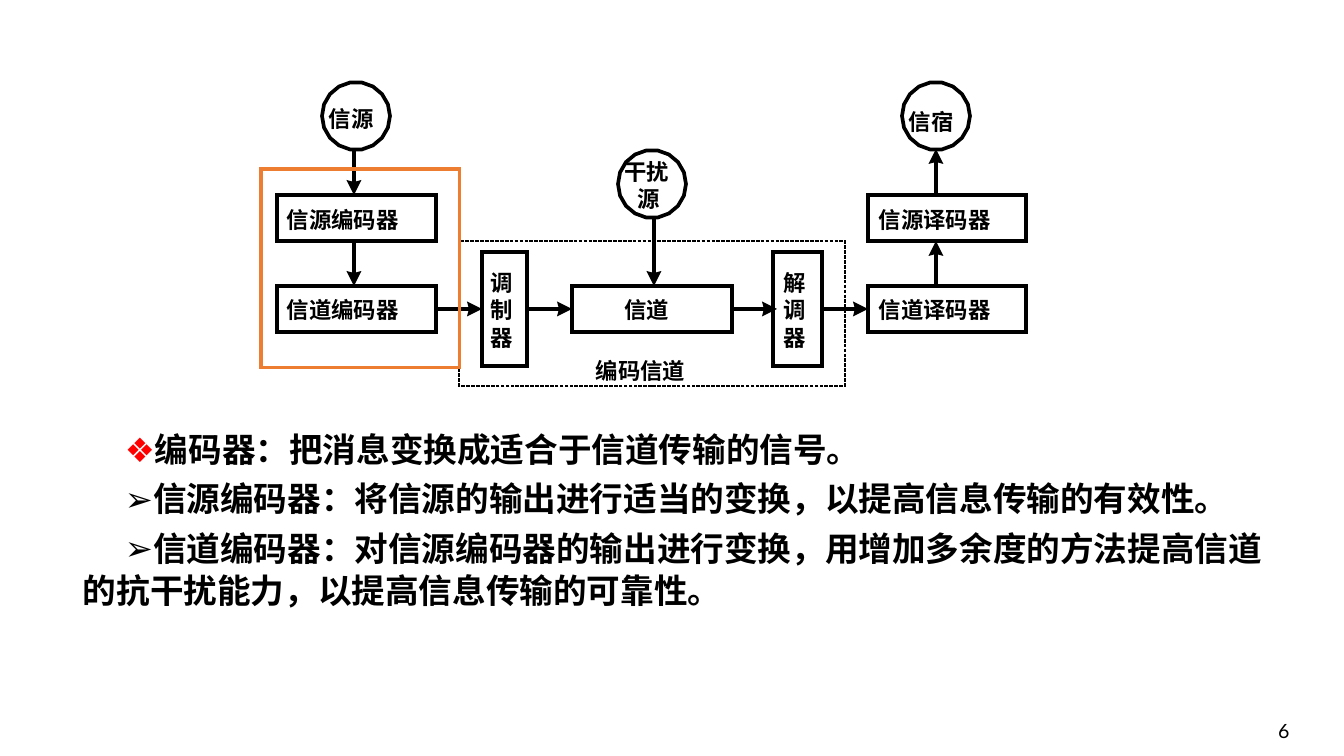
from math import cos, hypot, pi, sin

from lxml.etree import SubElement
from pptx import Presentation
from pptx.dml.color import RGBColor
from pptx.enum.dml import MSO_LINE
from pptx.enum.shapes import MSO_CONNECTOR, MSO_SHAPE
from pptx.enum.text import MSO_ANCHOR
from pptx.oxml.ns import qn
from pptx.util import Pt

# Content: all lengths in px
SLIDE_W, SLIDE_H = 1344, 756
COLORS = {"ink": "000000", "accent": "ED7D31", "bullet": "FF0000"}
CJK, LATIN = "Noto Sans CJK SC", "Lato"
STROKE = 2.63

CODING_CHANNEL = (459, 241, 386, 145)
ENCODER_HIGHLIGHT = (261, 169, 199, 199)

ROW_SOURCE, ROW_CHANNEL = 195, 286
STAGES = [  # left, top, width, height
    (277, ROW_SOURCE, 159, 46),
    (277, ROW_CHANNEL, 159, 46),
    (482, 252, 45, 114),
    (572, ROW_CHANNEL, 160, 46),
    (773, 252, 49, 114),
    (868, ROW_SOURCE, 158, 46),
    (868, ROW_CHANNEL, 158, 46),
]
ENDPOINTS = [(356, 116), (936, 116), (652, 184)]  # circle centres
RADIUS, SIDES = 34, 18

LABELS = [  # text, left, top
    ("信源", 329, 105),
    ("信源编码器", 287, 206),
    ("信道编码器", 287, 296),
    ("信道", 624, 296),
    ("信宿", 909, 108),
    ("信源译码器", 879, 206),
    ("信道译码器", 879, 296),
    ("干扰", 624, 158),
    ("源", 638, 185),
    ("编码信道", 596, 357),
]
VERTICAL_LABELS = [("调制器", 491, 269), ("解调器", 784, 269)]
CHAR_W, CHAR_PITCH, LABEL_H = 22.4, 27.5, 27

SOURCE_X, FLOW_Y, NOISE_X, SINK_X = 354, 309, 654, 936
ARROWS = [  # from x, y to x, y
    (SOURCE_X, 149, SOURCE_X, 195),
    (SOURCE_X, 241, SOURCE_X, 286),
    (436, FLOW_Y, 482, FLOW_Y),
    (527, FLOW_Y, 572, FLOW_Y),
    (732, FLOW_Y, 777, FLOW_Y),
    (822, FLOW_Y, 868, FLOW_Y),
    (SINK_X, 286, SINK_X, 241),
    (SINK_X, 195, SINK_X, 149),
    (NOISE_X, 218, NOISE_X, 286),
]
HEAD_LENGTH, HEAD_NOTCH, HEAD_HALF = 15, 13, 7.5
SHAFT_GAP = 12  # from the shaft's end to the tip

DEFINITIONS = [  # bullet, bullet colour, text
    ("❖", "bullet", "编码器：把消息变换成适合于信道传输的信号。"),
    ("➢", "ink", "信源编码器：将信源的输出进行适当的变换，以提高信息传输的有效性。"),
    ("➢", "ink", "信道编码器：对信源编码器的输出进行变换，用增加多余度的方法"
                 "提高信道的抗干扰能力，以提高信息传输的可靠性。"),
]
DEFINITIONS_BOX = (52, 422, 1227, 199)
PAGE_NUMBER, PAGE_BOX = "6", (1268, 706, 76, 50)


def px(length):
    return round(length * 914400 / 100.8)


def color(name):
    return RGBColor.from_string(COLORS[name])


def style_outline(shape, line="ink", width=STROKE, dash=None):
    shape.shadow.inherit = False
    shape.fill.background()
    shape.line.color.rgb = color(line)
    shape.line.width = Pt(width)
    if dash:
        shape.line.dash_style = dash
    SubElement(shape.line._get_or_add_ln(), qn("a:miter"), lim="800000")


def add_box(box, **outline):
    rect = slide.shapes.add_shape(MSO_SHAPE.RECTANGLE, *map(px, box))
    style_outline(rect, **outline)


def add_polygon(corners):
    points = [(px(x), px(y)) for x, y in corners]
    builder = slide.shapes.build_freeform(*points[0])
    builder.add_line_segments(points[1:], close=True)
    return builder.convert_to_shape()


def add_circle(center_x, center_y):
    angles = [2 * pi * k / SIDES for k in range(SIDES)]
    style_outline(add_polygon([(center_x + RADIUS * cos(angle),
                                center_y + RADIUS * sin(angle))
                               for angle in angles]))


def add_arrow(start_x, start_y, tip_x, tip_y):
    length = hypot(tip_x - start_x, tip_y - start_y)
    ux, uy = (tip_x - start_x) / length, (tip_y - start_y) / length

    def behind_tip(back, side=0):
        return tip_x - back * ux - side * uy, tip_y - back * uy + side * ux

    shaft = slide.shapes.add_connector(
        MSO_CONNECTOR.STRAIGHT,
        *map(px, (start_x, start_y, *behind_tip(SHAFT_GAP))))
    shaft.line.color.rgb = color("ink")
    shaft.line.width = Pt(STROKE)
    SubElement(shaft._element.spPr, qn("a:effectLst"))
    head = add_polygon([(tip_x, tip_y), behind_tip(HEAD_LENGTH, HEAD_HALF),
                        behind_tip(HEAD_NOTCH),
                        behind_tip(HEAD_LENGTH, -HEAD_HALF)])
    head.shadow.inherit = False
    head.fill.solid()
    head.fill.fore_color.rgb = color("ink")
    head.line.fill.background()


def add_text(paragraphs, box, size=16, font=CJK, bold=True, wrap=False,
             margin=0, anchor=MSO_ANCHOR.TOP):
    frame = slide.shapes.add_textbox(*map(px, box)).text_frame
    frame.word_wrap = wrap
    frame.vertical_anchor = anchor
    frame.margin_left = frame.margin_right = px(margin)
    frame.margin_top = frame.margin_bottom = px(margin / 2)
    frame.text = "\n".join(paragraphs)
    for paragraph in frame.paragraphs:
        for run in paragraph.runs:
            run.font.size, run.font.bold = Pt(size), bold
            run.font.name = font
            run.font.color.rgb = color("ink")
            SubElement(run.font._element, qn("a:ea"), typeface=font)
    return frame.paragraphs


def add_bullet(paragraph, mark, mark_color):
    paragraph.line_spacing = 1.05
    paragraph.space_before = Pt(5)
    props = paragraph._p.get_or_add_pPr()
    props.set("marL", str(px(21)))
    props.set("indent", str(px(42)))
    tint = SubElement(props, qn("a:buClr"))
    SubElement(tint, qn("a:srgbClr"), val=COLORS[mark_color])
    SubElement(props, qn("a:buFont"), typeface=LATIN)
    SubElement(props, qn("a:buChar"), char=mark)


deck = Presentation()
deck.slide_width, deck.slide_height = px(SLIDE_W), px(SLIDE_H)
slide = deck.slides.add_slide(deck.slide_layouts[6])

# Block diagram
add_box(CODING_CHANNEL, width=0.88, dash=MSO_LINE.SQUARE_DOT)
for stage in STAGES:
    add_box(stage)
for endpoint in ENDPOINTS:
    add_circle(*endpoint)
for arrow_ends in ARROWS:
    add_arrow(*arrow_ends)

# Diagram labels
stacked = [(char, left, top + row * CHAR_PITCH)
           for word, left, top in VERTICAL_LABELS
           for row, char in enumerate(word)]
for label, left, top in LABELS + stacked:
    add_text([label], (left, top, CHAR_W * len(label), LABEL_H))

# Definitions
lines = add_text([text for _, _, text in DEFINITIONS], DEFINITIONS_BOX,
                 size=24, wrap=True, margin=10)
for line, (mark, mark_color, _) in zip(lines, DEFINITIONS):
    add_bullet(line, mark, mark_color)

# Highlight and page number
add_box(ENCODER_HIGHLIGHT, line="accent", width=2.25)
add_text([PAGE_NUMBER], PAGE_BOX, size=14, font=LATIN, bold=False,
         wrap=True, margin=10, anchor=MSO_ANCHOR.MIDDLE)

deck.save("out.pptx")
